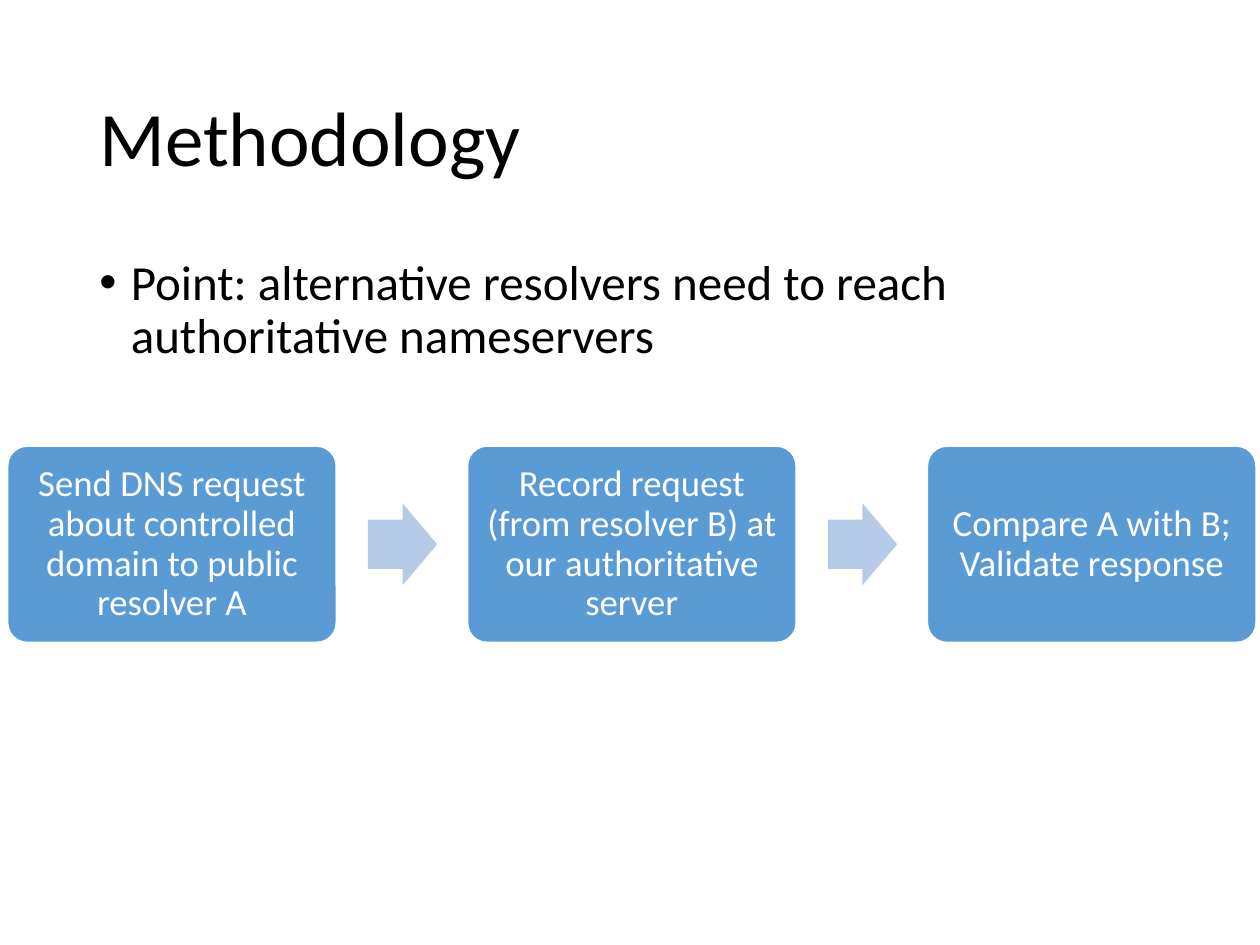
from lxml.etree import SubElement
from pptx import Presentation
from pptx.dml.color import RGBColor
from pptx.enum.shapes import MSO_SHAPE as Shape
from pptx.enum.text import MSO_ANCHOR as Anchor, PP_ALIGN as Align
from pptx.oxml.ns import qn
from pptx.util import Inches, Pt

COLORS = {"text": "000000", "box": "5B9BD5", "arrow": "B5CBE7", "white": "FFFFFF"}
STEPS = [
    "Send DNS request about controlled domain to public resolver A",
    "Record request (from resolver B) at our authoritative server",
    "Compare A with B; Validate response",
]


class Deck:
    """Style and current slide; lengths are cells of a 100 by 75 grid."""
    font = "Calibri"
    cell = Inches(0.1)

    def __init__(self):
        self.prs = Presentation()
        self.prs.slide_width = 100 * self.cell
        self.prs.slide_height = 75 * self.cell
        self.slide = self.prs.slides.add_slide(self.prs.slide_layouts[6])

    def place(self, *cells):
        return [round(c * self.cell) for c in cells]

    def set_text(self, sp, text, size, color, anchor, align=Align.LEFT):
        tf = sp.text_frame
        tf.word_wrap = True
        tf.vertical_anchor = anchor
        p = tf.paragraphs[0]
        p.text = text
        p.alignment = align
        p.line_spacing = 0.9
        font = p.runs[0].font
        font.name, font.size = self.font, Pt(size)
        font.color.rgb = RGBColor.from_string(COLORS[color])
        return p

    def text(self, text, box, size, anchor):
        sp = self.slide.shapes.add_textbox(*self.place(*box))
        return self.set_text(sp, text, size, "text", anchor)

    def bullet(self, text, box, size):
        p = self.text(text, box, size, Anchor.TOP)
        p.space_before = Pt(10)
        pPr = p._p.get_or_add_pPr()
        pPr.set("marL", str(Inches(0.25)))
        pPr.set("indent", str(-Inches(0.25)))
        SubElement(pPr, qn("a:buFont"), typeface="Arial")
        SubElement(pPr, qn("a:buChar"), char="•")

    def shape(self, kind, box, fill, adjustments):
        sp = self.slide.shapes.add_shape(kind, *self.place(*box))
        sp.shadow.inherit = False
        sp.fill.solid()
        sp.fill.fore_color.rgb = RGBColor.from_string(COLORS[fill])
        for i, value in enumerate(adjustments):
            sp.adjustments[i] = value
        return sp

    def step(self, text, box):
        sp = self.shape(Shape.ROUNDED_RECTANGLE, box, "box", [0.1])
        sp.line.color.rgb = RGBColor.from_string(COLORS["white"])
        sp.line.width = Pt(1)
        tf = sp.text_frame
        tf.margin_left = tf.margin_right = Inches(0.09)
        tf.margin_top = tf.margin_bottom = Inches(0.09)
        self.set_text(sp, text, 21, "white", Anchor.MIDDLE, Align.CENTER)

    def arrow(self, box):
        sp = self.shape(Shape.RIGHT_ARROW, box, "arrow", [0.6, 0.5])
        sp.line.fill.background()


def main():
    deck = Deck()

    # Heading and point
    deck.text("Methodology", (6.9, 4, 86.2, 14.5), 44, Anchor.MIDDLE)
    deck.bullet("Point: alternative resolvers need to reach authoritative nameservers",
                (6.9, 20, 86.2, 47.6), 28)

    # Process: a row of steps with an arrow in each gap
    left, pitch, width, top, height = 0.6, 36.5, 26.1, 35.4, 15.6
    arrow_height = 6.5
    for i, text in enumerate(STEPS):
        x = left + i * pitch
        if i:
            deck.arrow((x - 7.9, top + (height - arrow_height) / 2, 5.5, arrow_height))
        deck.step(text, (x, top, width, height))

    deck.prs.save("out.pptx")


if __name__ == "__main__":
    main()
